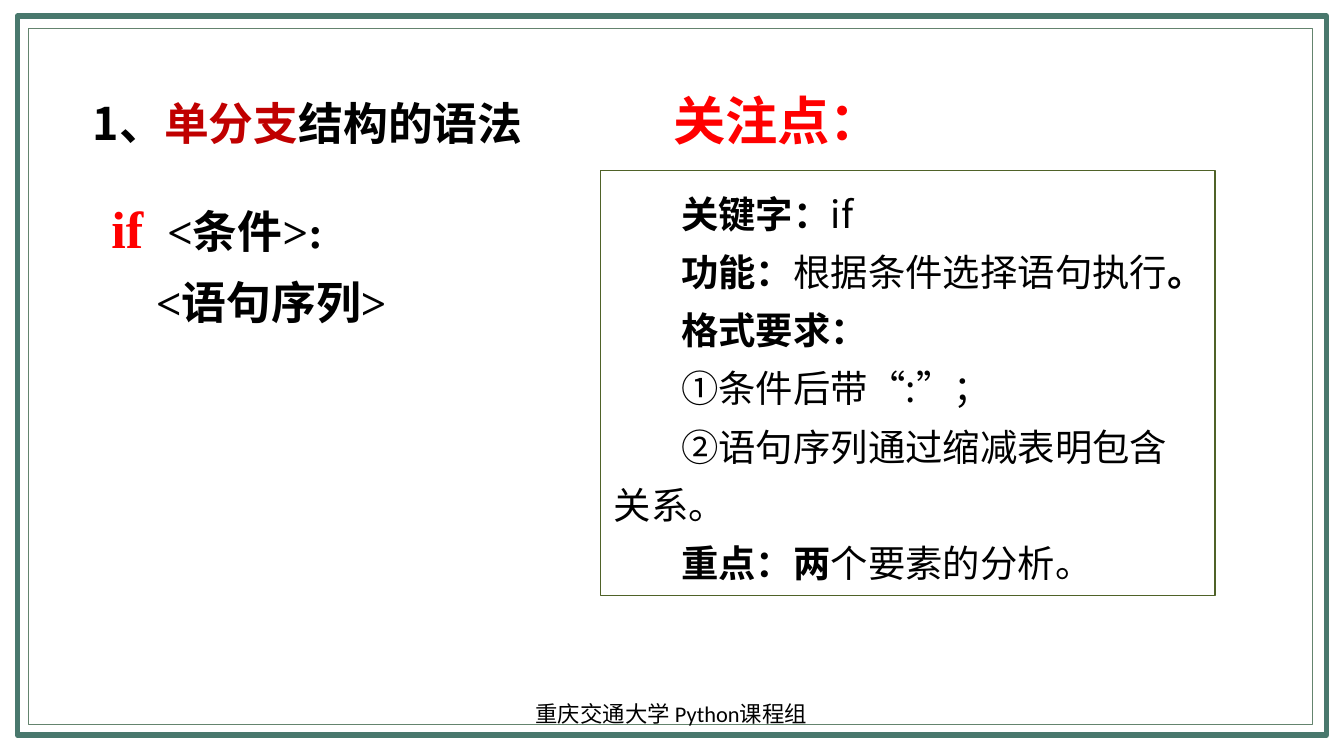
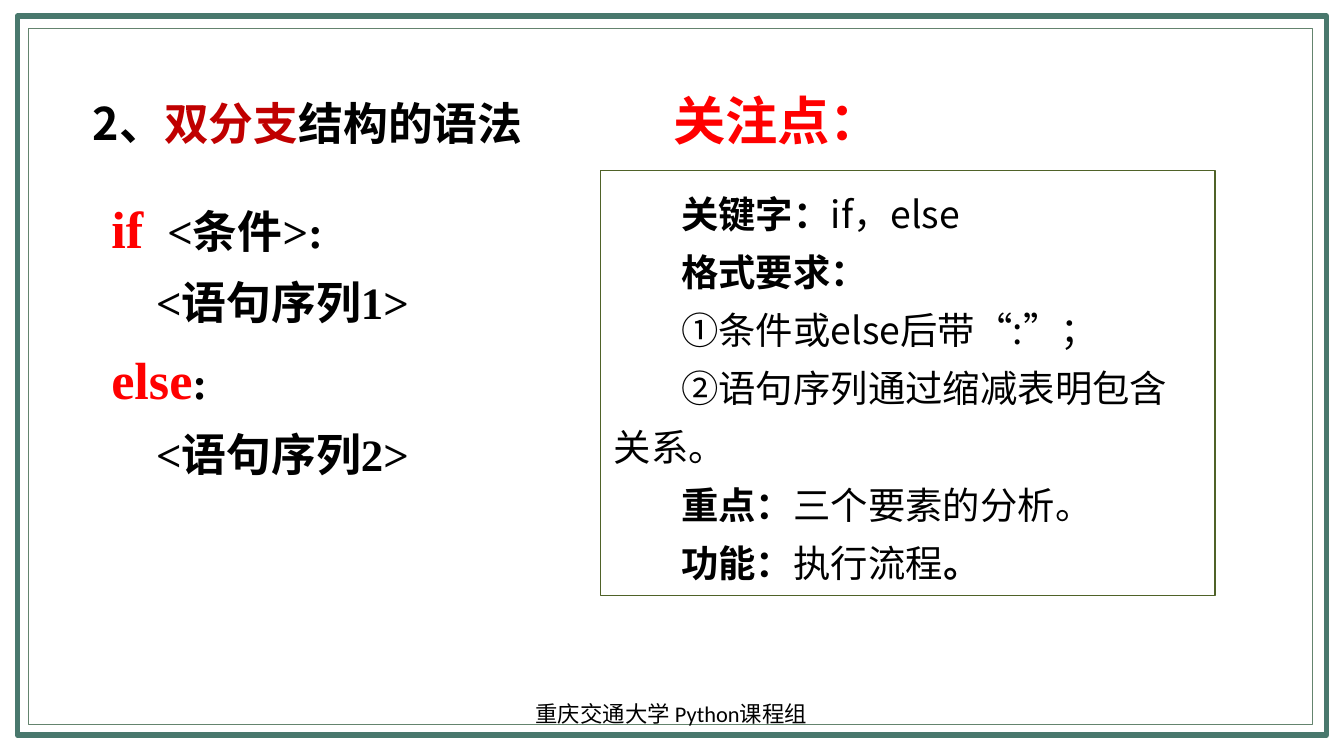
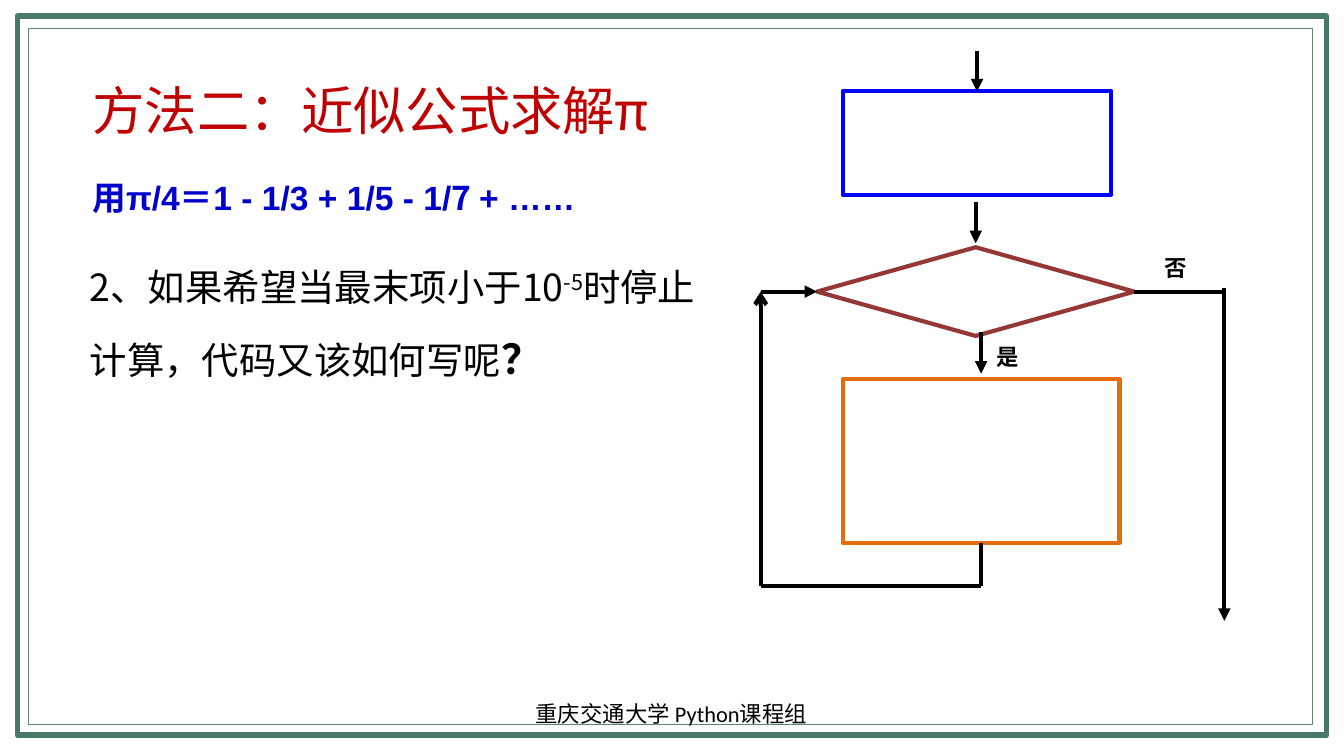
"""Build three slides on Python branch syntax and a loop flowchart."""
from lxml import etree
from pptx import Presentation
from pptx.dml.color import RGBColor
from pptx.enum.shapes import MSO_CONNECTOR as Line, MSO_SHAPE as Preset
from pptx.enum.text import MSO_ANCHOR as Anchor, MSO_AUTO_SIZE as Fit, PP_ALIGN as Align
from pptx.oxml.ns import qn
from pptx.util import Inches, Pt

COLORS = {
    "frame": "49786D", "inner": "64846E", "panel": "4F6228", "black": "000000",
    "red": "FF0000", "crimson": "C00000", "formula": "0000CC",
    "start": "0000FF", "test": "953735", "body": "E46C0A",
}
CJK, SERIF = "Noto Sans CJK SC", "Times New Roman"

STYLES = {
    "head": (CJK, 24, "black", True),
    "topic": (CJK, 24, "crimson", True),
    "tail": (SERIF, 28, "crimson", True),
    "method": (CJK, 28, "crimson", False),
    "keyword": (SERIF, 28, "red", True),
    "code": (SERIF, 24, "black", True),
    "strong": (CJK, 20, "black", True),
    "plain": (CJK, 20, "black", False),
    "mark": (CJK, 22, "black", True),
    "formula": ("Arial", 18, "formula", True),
    "digit": (CJK, 18, "formula", True),
    "label": (SERIF, 12, "black", True),
    "footer": ("Calibri", 12, "black", False),
}

FRAMES = [((0.13, 0.12, 9.74, 5.35), "frame", 3), ((0.21, 0.21, 9.56, 5.18), "inner", 0.5)]
FOOTER = "重庆交通大学 Python课程组"
TITLE_END = [("结构的语法", "head"), (" ", "tail")]
CONDITION = [("if ", "keyword"), (" <条件>:", "code")]
INDENT_RULE = [("②语句序列通过缩减表明包含关系。", "plain")]
FORMAT_RULES = [("格式要求：", "strong")]

SYNTAX_SLIDES = [
    {
        "title": [("1、", "head"), ("单分支", "topic"), *TITLE_END],
        "height": 1.24,
        "code": [CONDITION, [("    <语句序列>", "code")]],
        "points": [
            [("关键字：", "strong"), ("if", "plain")],
            [("功能：", "strong"), ("根据条件选择语句执行", "plain"), ("。", "strong")],
            FORMAT_RULES,
            [("①条件后带“:”；", "plain")],
            INDENT_RULE,
            [("重点：两", "strong"), ("个要素的分析。", "plain")],
        ],
    },
    {
        "title": [("2、", "head"), ("双分支", "topic"), *TITLE_END],
        "height": 2.38,
        "code": [
            CONDITION,
            [("    <语句序列1>", "code")],
            [("else", "keyword"), (":", "code")],
            [("    <语句序列2>", "code")],
        ],
        "points": [
            [("关键字：", "strong"), ("if，else", "plain")],
            FORMAT_RULES,
            [("①条件或else后带“:”；", "plain")],
            INDENT_RULE,
            [("重点：", "strong"), ("三个要素的分析。", "plain")],
            [("功能：", "strong"), ("执行流程", "plain"), ("。", "strong")],
        ],
    },
]

METHOD = [("方法二：近似公式求解π", "method")]
FORMULA = [("用π/4＝1 - 1/3 + 1/5 - 1/", "formula"), ("7 ", "digit"), ("+ ……", "formula")]
QUESTION = [("2、如果希望当最末项小于10", "plain"), ("-5", "plain", 30),
            ("时停止计算，代码又该如何写呢", "plain"), ("？", "mark")]

STEPS = {
    "start": (Preset.RECTANGLE, (6.27, 0.68, 2, 0.77)),
    "test": (Preset.DIAMOND, (6.08, 1.84, 2.36, 0.66)),
    "body": (Preset.RECTANGLE, (6.27, 2.82, 2.06, 1.22)),
}
FLOWS = [
    ((7.27, 0.38), (7.27, 0.68), "triangle", None, ("start", 0)),
    ((7.26, 1.5), (7.26, 1.81), "triangle", None, None),
    ((7.3, 2.47), (7.3, 2.78), "triangle", None, None),
    ((7.3, 4.04), (7.3, 4.36), None, ("body", 2), None),
    ((5.66, 4.36), (7.3, 4.36), None, None, None),
    ((5.66, 4.36), (5.66, 2.17), "arrow", None, None),
    ((5.66, 2.17), (6.08, 2.17), "triangle", None, ("test", 1)),
    ((8.44, 2.17), (9.1, 2.17), None, ("test", 3), None),
    ((9.11, 2.14), (9.11, 4.62), "triangle", None, None),
]
BRANCHES = [("是", (7.26, 2.52, 0.47, 0.26)), ("否", (8.51, 1.86, 0.47, 0.26))]


def color(name):
    return RGBColor.from_string(COLORS[name])


def inches(values):
    return [Inches(value) for value in values]


def add_span(para, text, style, baseline=0):
    span = para.add_run()
    span.text = text
    name, size, ink, bold = STYLES[style]
    span.font.size, span.font.bold = Pt(size), bold
    span.font.color.rgb = color(ink)
    span.font.name = name
    props = span.font._element
    etree.SubElement(props, qn("a:ea"), typeface=CJK)
    if baseline:
        props.set("baseline", str(baseline * 1000))


def write(box, paragraphs, spacing=1.0, align=Align.LEFT, anchor=Anchor.TOP,
          fit=Fit.SHAPE_TO_FIT_TEXT, wrap=True, indent=0):
    frame = box.text_frame
    frame.word_wrap, frame.auto_size, frame.vertical_anchor = wrap, fit, anchor
    for index, spans in enumerate(paragraphs):
        para = frame.add_paragraph() if index else frame.paragraphs[0]
        para.alignment, para.line_spacing = align, spacing
        if indent:
            props = para._p.get_or_add_pPr()
            props.set("marL", "0")
            props.set("indent", str(Inches(indent)))
        for span in spans:
            add_span(para, *span)


def add_text(page, place, paragraphs, **options):
    write(page.shapes.add_textbox(*inches(place)), paragraphs, **options)


def add_outline(page, preset, place, ink, width):
    shape = page.shapes.add_shape(preset, *inches(place))
    shape.shadow.inherit = False
    shape.fill.background()
    shape.line.color.rgb = color(ink)
    shape.line.width = Pt(width)
    return shape


def add_flow(page, steps, start, end, head, source, target):
    flow = page.shapes.add_connector(Line.STRAIGHT, *inches(start + end))
    flow.line.color.rgb = color("black")
    flow.line.width = Pt(2.25)
    if head:
        etree.SubElement(flow.line._get_or_add_ln(), qn("a:tailEnd"), type=head)
    etree.SubElement(flow._element.spPr, qn("a:effectLst"))
    if source:
        flow.begin_connect(steps[source[0]], source[1])
    if target:
        flow.end_connect(steps[target[0]], target[1])


def add_page(deck, title, place, spacing=1.0):
    page = deck.slides.add_slide(deck.slide_layouts[5])
    for frame, ink, width in FRAMES:
        add_outline(page, Preset.RECTANGLE, frame, ink, width)
    heading = page.shapes.title
    heading.left, heading.top, heading.width, heading.height = inches(place)
    write(heading, [title], spacing=spacing)
    add_text(page, (3.41, 5.16, 3.17, 0.3), [[(FOOTER, "footer")]],
             align=Align.CENTER, anchor=Anchor.MIDDLE, fit=Fit.NONE)
    return page


def add_syntax_page(deck, content):
    page = add_page(deck, content["title"], (0.59, 0.37, 4.44, 0.72), 1.5)
    add_text(page, (0.73, 1.27, 3.39, content["height"]), content["code"], spacing=1.3)
    panel = add_outline(page, Preset.RECTANGLE, (4.47, 1.27, 4.57, 3.16), "panel", 0.75)
    write(panel, content["points"], spacing=1.3, indent=0.5)
    add_text(page, (4.91, 0.47, 1.78, 0.71), [[("关注点：", "keyword")]],
             spacing=1.3, wrap=False)


def add_flowchart_page(deck):
    page = add_page(deck, METHOD, (0.59, 0.53, 7.72, 0.57))
    add_text(page, (0.59, 1.27, 4.73, 0.4), [FORMULA])
    add_text(page, (0.57, 1.75, 4.75, 1.09), [QUESTION], spacing=1.5)
    steps = {name: add_outline(page, preset, place, name, 2.25)
             for name, (preset, place) in STEPS.items()}
    for flow in FLOWS:
        add_flow(page, steps, *flow)
    for text, place in BRANCHES:
        add_text(page, place, [[(text, "label")]], align=Align.CENTER,
                 anchor=Anchor.MIDDLE, fit=Fit.NONE)


def main():
    deck = Presentation()
    deck.slide_width = Inches(10)
    deck.slide_height = deck.slide_width * 9 // 16
    for content in SYNTAX_SLIDES:
        add_syntax_page(deck, content)
    add_flowchart_page(deck)
    deck.save("out.pptx")


if __name__ == "__main__":
    main()
